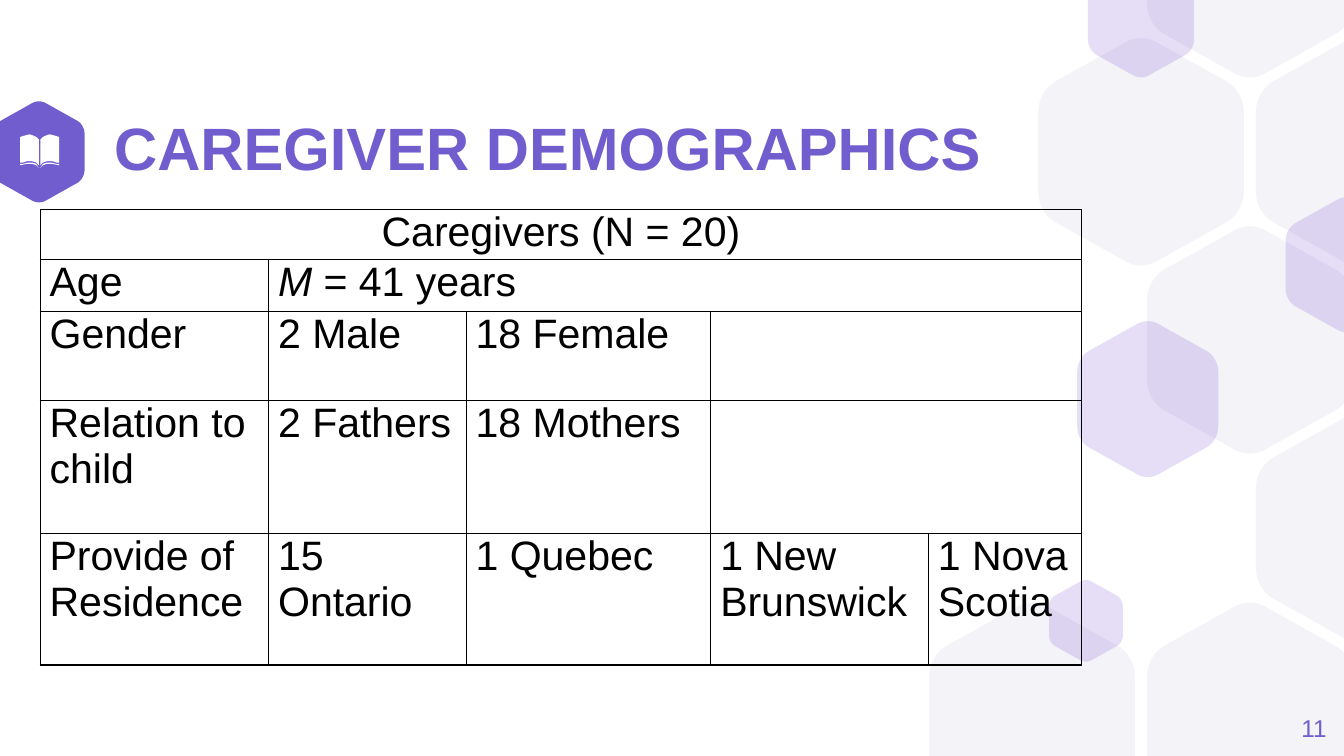
from lxml.etree import SubElement
from pptx import Presentation
from pptx.dml.color import RGBColor
from pptx.enum.text import MSO_ANCHOR, PP_ALIGN
from pptx.oxml.ns import qn
from pptx.util import Inches, Pt

WIDE = 10
HIGH = WIDE * 9 / 16
VIOLET = RGBColor(0x72, 0x5D, 0xCF)
DEEP = RGBColor(0x53, 0x22, 0xC9)
PALE = RGBColor(0xF4, 0xF3, 0xF8)
WHITE = RGBColor(0xFF, 0xFF, 0xFF)
BLACK = RGBColor(0, 0, 0)

# Rounded corners of a hexagon one unit wide, as Bezier control points
SIDE = [(0.5, 0.19), (0.5, 0.25), (0.47, 0.31), (0.42, 0.34)]
TIP = [(0.08, 0.53), (0.03, 0.56), (-0.03, 0.56), (-0.08, 0.53)]
STEPS = 10

CELLS = [(-2, 3), (0, 3), (1, 0), (0, -1), (0, 1), (-1, 0), (1, 2)]
TINTS = [(10.02, 1.97, 0.91), (8.08, 4.62, 0.55),
         (8.49, 0.14, 0.79), (8.54, 2.97, 1.05)]

FOLD = 0.295
PAGE = [(0.15, 1.02), (0.18, 1.01), (0.22, 1), (0.25, 1.01), (0.27, 1.02),
        (0.29, 1.04), (0.29, 1.23), (0.27, 1.21), (0.24, 1.2), (0.2, 1.2),
        (0.17, 1.21), (0.15, 1.21)]
EDGE = [(0.15, 1.22), (0.17, 1.22), (0.21, 1.21), (0.24, 1.21),
        (0.27, 1.22), (0.29, 1.25), (0.27, 1.23), (0.24, 1.22),
        (0.2, 1.22), (0.15, 1.23)]

COLS = [1.7, 1.47, 1.82, 1.62, 1.14]
ROWS = [0.37, 0.39, 0.66, 0.99, 0.98]
DATA = [
    ["Caregivers (N = 20)"],
    ["Age", ("M", " = 41 years")],
    ["Gender", "2 Male", "18 Female", ""],
    ["Relation to child", "2 Fathers", "18 Mothers", ""],
    ["Provide of Residence", "15 Ontario", "1 Quebec",
     "1 New Brunswick", "1 Nova Scotia"],
]


def curve(ctrl):
    """Sample a cubic Bezier."""
    a, b, c, d = ctrl
    for n in range(STEPS + 1):
        t = n / STEPS
        u = 1 - t
        yield tuple(u**3 * p + 3 * u * u * t * q + 3 * u * t * t * r + t**3 * s
                    for p, q, r, s in zip(a, b, c, d))


def outline():
    """Return the points of the rounded hexagon around its centre."""
    right = list(curve(SIDE))
    left = [(-x, y) for x, y in reversed(right)]
    half = right + list(curve(TIP)) + left
    return half + [(-x, -y) for x, y in half]


HEX = outline()


class Deck:
    def __init__(self, font):
        self.font = font
        self.prs = Presentation()
        self.prs.slide_width = Inches(WIDE)
        self.prs.slide_height = Inches(HIGH)
        self.slide = self.prs.slides.add_slide(self.prs.slide_layouts[6])

    def shape(self, pts, color, alpha=None):
        pts = [(Inches(x), Inches(y)) for x, y in pts]
        pen = self.slide.shapes.build_freeform(*pts[0], scale=1.0)
        pen.add_line_segments(pts[1:], close=True)
        form = pen.convert_to_shape()
        form.shadow.inherit = False
        form.fill.solid()
        form.fill.fore_color.rgb = color
        form.line.fill.background()
        if alpha:
            tone = form.fill._xPr.find(".//" + qn("a:srgbClr"))
            SubElement(tone, qn("a:alpha"), val=str(alpha * 1000))

    def hexa(self, x, y, size, color, alpha=None):
        """Draw a hexagon by its centre, cut at the slide top and bottom."""
        pts = [(x + size * u, min(max(y + size * v, 0), HIGH))
               for u, v in HEX]
        self.shape(pts, color, alpha)

    def run(self, para, text, size, color, bold=False, italic=False):
        run = para.add_run()
        run.text = text
        font = run.font
        font.name, font.size = self.font, Pt(size)
        font.bold, font.italic = bold, italic
        font.color.rgb = color

    def text(self, box, text, size, bold=False, align=PP_ALIGN.LEFT, lead=1.0):
        frame = self.slide.shapes.add_textbox(*map(Inches, box)).text_frame
        frame.word_wrap = True
        frame.vertical_anchor = MSO_ANCHOR.MIDDLE
        frame.margin_left = frame.margin_right = 0
        frame.margin_top = frame.margin_bottom = 0
        para = frame.paragraphs[0]
        para.alignment, para.line_spacing = align, lead
        self.run(para, text, size, VIOLET, bold)

    def frame(self, cell):
        """Give a cell thin black borders and no fill."""
        props = cell._tc.get_or_add_tcPr()
        for side in ("lnL", "lnR", "lnT", "lnB"):
            line = SubElement(props, qn("a:" + side), w=str(Pt(0.75)))
            fill = SubElement(line, qn("a:solidFill"))
            SubElement(fill, qn("a:srgbClr"), val=str(BLACK))
        cell.fill.background()
        cell.margin_left = cell.margin_right = Inches(0.07)
        cell.margin_top = cell.margin_bottom = 0

    def table(self, left, top, size):
        box = map(Inches, (left, top, sum(COLS), sum(ROWS)))
        grid = self.slide.shapes.add_table(len(ROWS), len(COLS), *box).table
        grid.first_row = grid.horz_banding = False
        for col, wide in zip(grid.columns, COLS):
            col.width = Inches(wide)
        for row, high in zip(grid.rows, ROWS):
            row.height = Inches(high)
        for cell in grid.iter_cells():
            self.frame(cell)
        end = len(COLS) - 1
        for r, row in enumerate(DATA):
            last = len(row) - 1
            if last < end:
                grid.cell(r, last).merge(grid.cell(r, end))
            for c, item in enumerate(row):
                para = grid.cell(r, c).text_frame.paragraphs[0]
                if r == 0:
                    para.alignment = PP_ALIGN.CENTER
                if isinstance(item, tuple):
                    sign, item = item
                    self.run(para, sign, size, BLACK, italic=True)
                if item:
                    self.run(para, item, size, BLACK)


def main():
    deck = Deck("Arial")
    deck.hexa(0.29, 1.13, 0.68, VIOLET)
    for i, j in CELLS:
        deck.hexa(9.3 + 0.81 * i, 1.13 + 1.4 * j, 1.53, PALE)
    for x, y, size in TINTS:
        deck.hexa(x, y, size, DEEP, 15)
    deck.text((0.85, 0.91, 6.57, 0.43), "CAREGIVER DEMOGRAPHICS", 32,
              bold=True, lead=0.9)
    deck.text((9.27, 5.2, 0.6, 0.43), "11", 13, align=PP_ALIGN.RIGHT)
    for part in (EDGE, PAGE):
        deck.shape(part, WHITE)
        deck.shape([(2 * FOLD - x, y) for x, y in part], WHITE)
    deck.table(0.3, 1.56, 22)
    deck.prs.save("out.pptx")


if __name__ == "__main__":
    main()
